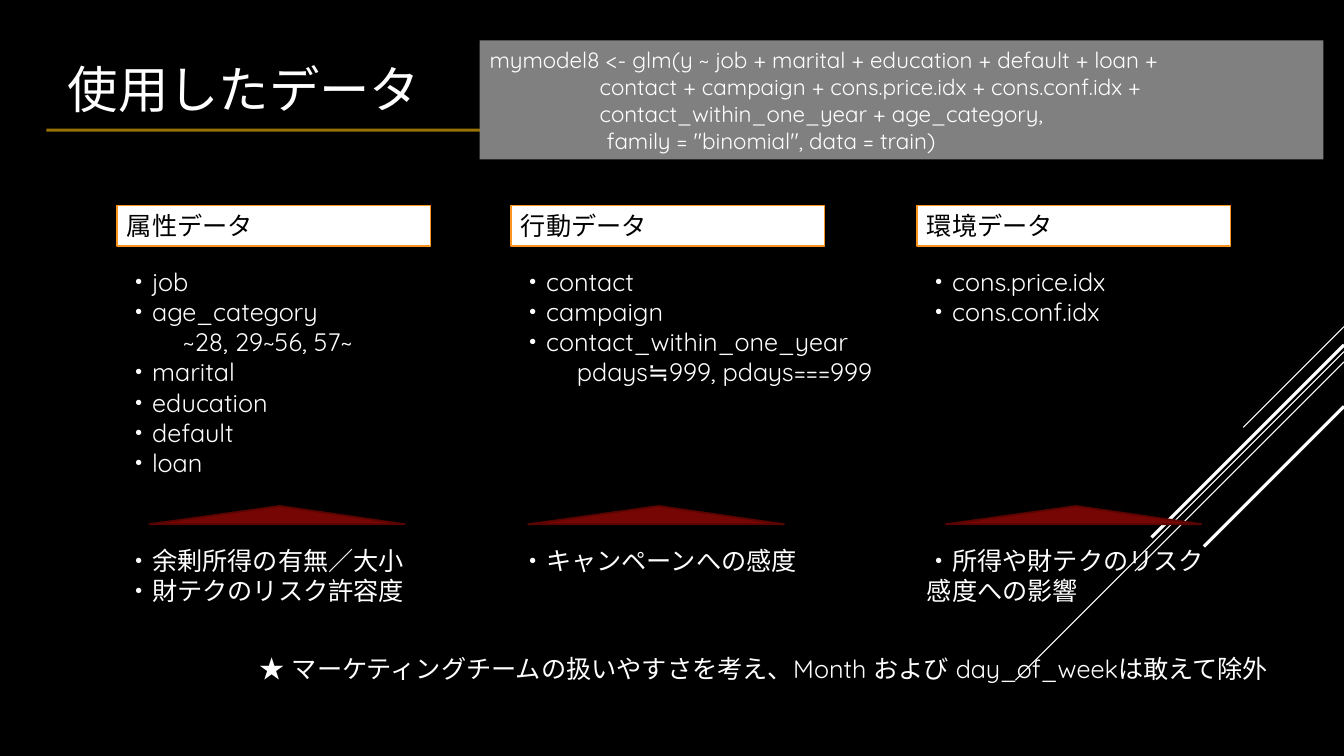
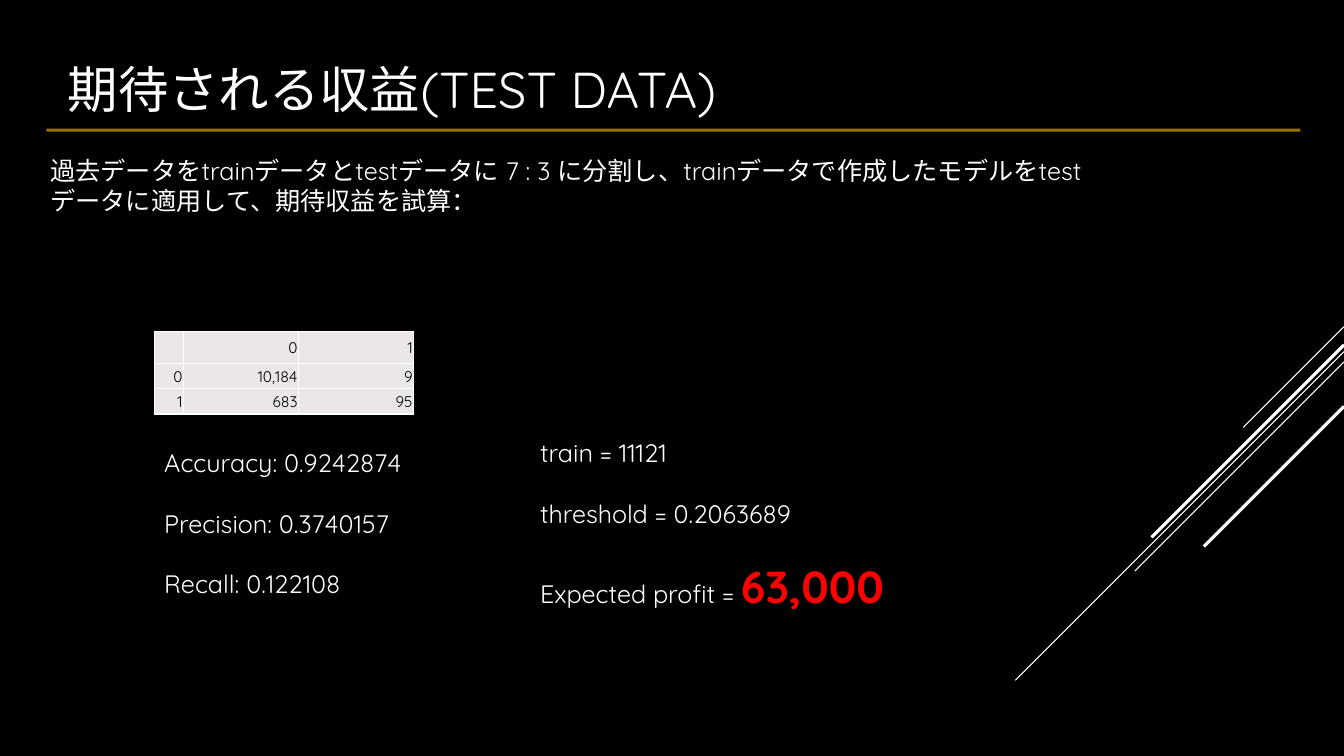
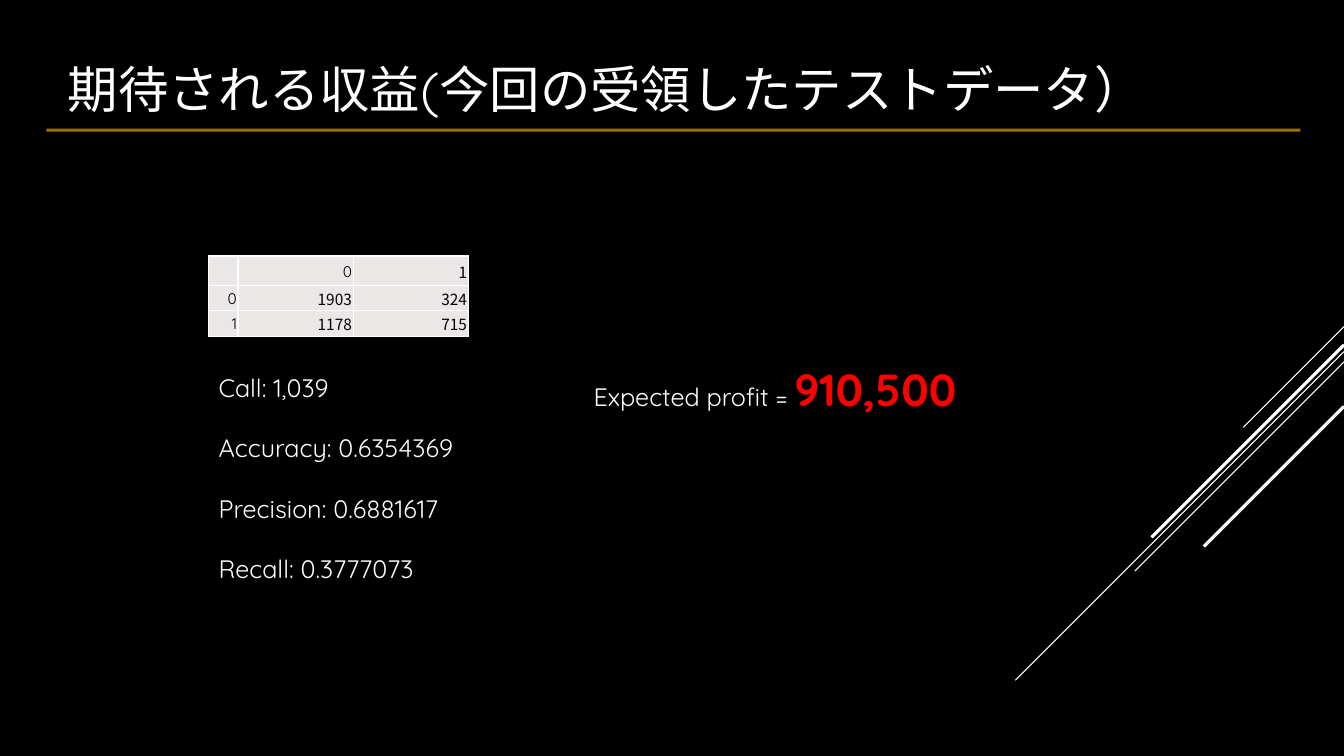
import lxml.etree
import pptx
import pptx.dml.color
import pptx.enum.shapes
import pptx.enum.text
import pptx.oxml
import pptx.oxml.ns
import pptx.util

Cm = pptx.util.Cm
Pt = pptx.util.Pt
qn = pptx.oxml.ns.qn
SHAPE = pptx.enum.shapes.MSO_SHAPE
ALIGN = pptx.enum.text.PP_ALIGN
ANCHOR = pptx.enum.text.MSO_ANCHOR

SLIDE_WIDTH, SLIDE_HEIGHT = 33.87, 19.05
BLACK, WHITE, GREY = "000000", "FFFFFF", "808080"
GOLD, ORANGE, RED = "FFC000", "FA941F", "FF0000"
MAROON, DARK_MAROON, PALE = "760603", "570402", "ECE7E7"
BODY_FONT, PLAIN_FONT = "Quicksand", "Noto Sans CJK JP"
BLANK_LINE = 21.6

# Diagonal stripes from the right edge: start height, extent, weight
STRIPES = [(8.23, 2.54, 0.75), (8.86, 8.28, 0.75), (9.12, 5.27, 0.75),
           (8.69, 4.85, 2.25), (10.24, 3.53, 2.25)]


def rgb(color):
    return pptx.dml.color.RGBColor.from_string(color)


def box(left, top, width, height):
    return Cm(left), Cm(top), Cm(width), Cm(height)


def write(frame, lines, size=18, color=WHITE, font=BODY_FONT, bold=None,
          align=ALIGN.LEFT, gap=0, indents=None):
    """Fill a frame; a line is a string or a list of (text, overrides).

    gap is the space in points before each later line, and indents maps
    a line number to its left indent in cm.
    """
    frame.word_wrap = True
    for number, line in enumerate(lines):
        paragraph = frame.add_paragraph() if number else frame.paragraphs[0]
        paragraph.alignment = align
        if number and gap:
            paragraph.space_before = Pt(gap)
        if indents and number in indents:
            properties = paragraph._p.get_or_add_pPr()
            properties.set("marL", str(Cm(indents[number])))
            properties.set("indent", "0")
        pieces = [(line, {})] if isinstance(line, str) else line
        for words, overrides in pieces:
            style = {"size": size, "color": color, "bold": bold, **overrides}
            run = paragraph.add_run()
            run.text = words
            run.font.size = Pt(style["size"])
            run.font.bold = style["bold"]
            run.font.name = font
            run.font.color.rgb = rgb(style["color"])
            lxml.etree.SubElement(run._r.get_or_add_rPr(), qn("a:ea"), typeface=font)


def add_solid_fill(parent, color):
    fill = lxml.etree.SubElement(parent, qn("a:solidFill"))
    lxml.etree.SubElement(fill, qn("a:srgbClr"), val=color)


class Deck:
    def __init__(self):
        self.presentation = pptx.Presentation()
        self.presentation.slide_width = Cm(SLIDE_WIDTH)
        self.presentation.slide_height = Cm(SLIDE_HEIGHT)
        self.layout = self.presentation.slide_layouts.get_by_name("Title Only")
        background = self.presentation.slide_master.background.fill
        background.solid()
        background.fore_color.rgb = rgb(BLACK)
        self.slide = None

    def new_slide(self, title):
        first = self.slide is None
        self.slide = self.presentation.slides.add_slide(self.layout)
        if first:
            self.decorate_layout()
        heading = self.slide.shapes.title
        heading.left, heading.top, heading.width, heading.height = box(1.45, 0.74, 30.86, 2.95)
        heading.text_frame.auto_size = pptx.enum.text.MSO_AUTO_SIZE.NONE
        heading.text_frame.vertical_anchor = ANCHOR.MIDDLE
        write(heading.text_frame, [title], size=36)

    def decorate_layout(self):
        """Draw the stripes and title rule, then move them to the layout."""
        decorations = [
            self.line(SLIDE_WIDTH, top, SLIDE_WIDTH - extent, top + extent, WHITE, weight)
            for top, extent, weight in STRIPES]
        decorations.append(self.line(1.17, 3.28, 32.77, 3.28, GOLD, 2.25, opacity=60))
        for decoration in decorations:
            self.layout.shapes._spTree.append(decoration._element)

    def line(self, x1, y1, x2, y2, color, weight, opacity=100):
        connector = self.slide.shapes.add_connector(
            pptx.enum.shapes.MSO_CONNECTOR.STRAIGHT, Cm(x1), Cm(y1), Cm(x2), Cm(y2))
        connector.line.width = Pt(weight)
        connector.line.color.rgb = rgb(color)
        properties = connector._element.spPr
        if opacity < 100:
            shade = properties.find(".//" + qn("a:srgbClr"))
            lxml.etree.SubElement(shade, qn("a:alpha"), val=str(opacity * 1000))
        lxml.etree.SubElement(properties, qn("a:effectLst"))
        return connector

    def text(self, left, top, width, height, lines, **style):
        area = self.slide.shapes.add_textbox(*box(left, top, width, height))
        write(area.text_frame, lines, **style)

    def shape(self, kind, left, top, width, height, fill, outline=None, lines=(), **style):
        figure = self.slide.shapes.add_shape(kind, *box(left, top, width, height))
        figure.shadow.inherit = False
        figure.fill.solid()
        figure.fill.fore_color.rgb = rgb(fill)
        if outline:
            figure.line.color.rgb = rgb(outline)
            figure.line.width = Pt(1.25)
        else:
            figure.line.fill.background()
        write(figure.text_frame, lines, **style)
        return figure

    def confusion_matrix(self, left, top, rows, plain_cells=()):
        """Add a table; plain_cells lists (row, column) set in the plain font."""
        widths, row_height = [0.74, 2.9, 2.9], 0.64
        table = self.slide.shapes.add_table(
            len(rows), len(widths),
            *box(left, top, sum(widths), row_height * len(rows))).table
        table.first_row = table.horz_banding = False
        for column, width in zip(table.columns, widths):
            column.width = Cm(width)
        for row_number, row in enumerate(rows):
            table.rows[row_number].height = Cm(row_height)
            for column_number, value in enumerate(row):
                cell = table.cell(row_number, column_number)
                cell.margin_left = cell.margin_right = cell.margin_top = Cm(0.03)
                cell.margin_bottom = 0
                cell.vertical_anchor = ANCHOR.MIDDLE
                plain = (row_number, column_number) in plain_cells
                write(cell.text_frame, [value], size=11, color=BLACK, align=ALIGN.RIGHT,
                      font=PLAIN_FONT if plain else BODY_FONT)
                properties = cell._tc.get_or_add_tcPr()
                for side in ("lnL", "lnR", "lnT", "lnB"):
                    border = lxml.etree.SubElement(properties, qn("a:" + side), w=str(Pt(1)))
                    add_solid_fill(border, WHITE)
                add_solid_fill(properties, PALE)

    def profit(self, amount):
        """Return the line that ends with the highlighted amount."""
        return [("Expected profit = ", {}),
                (amount, {"size": 32, "color": RED, "bold": True})]


def data_slide(deck):
    deck.new_slide("使用したデータ")
    categories = [
        (2.95, 3.76, "属性データ",
         ["・job", "・age_category", "~28, 29~56, 57~", "・marital", "・education",
          "・default", "・loan"], {2: 1.41},
         ["・余剰所得の有無／大小", "・財テクのリスク許容度"]),
        (12.88, 13.31, "行動データ",
         ["・contact", "・campaign", "・contact_within_one_year",
          "pdays≒999, pdays===999"], {3: 1.41},
         ["・キャンペーンへの感度"]),
        (23.11, 23.83, "環境データ",
         ["・cons.price.idx", "・cons.conf.idx"], None,
         ["・所得や財テクのリスク感度への影響"]),
    ]
    for left, arrow_left, name, variables, indents, meanings in categories:
        deck.shape(SHAPE.RECTANGLE, left, 5.18, 7.9, 1.02, WHITE, ORANGE, [name], color=BLACK)
        deck.text(left, 6.58, 10.2, 0.25 + 0.77 * len(variables), variables, indents=indents)
        arrow = deck.shape(SHAPE.ISOSCELES_TRIANGLE, arrow_left, 12.75, 6.45, 0.46,
                           MAROON, DARK_MAROON)
        arrow.adjustments[0] = 0.51
        deck.text(left, 13.61, 8.08, 1.8, meanings)
    deck.text(6.3, 16.33, 26.87, 1.02,
              ["★ マーケティングチームの扱いやすさを考え、Month および day_of_weekは敢えて除外"])
    deck.shape(SHAPE.RECTANGLE, 12.09, 1.02, 21.26, 3, GREY, lines=[
        "mymodel8 <- glm(y ~ job + marital + education + default + loan +",
        "contact + campaign + cons.price.idx + cons.conf.idx +",
        "contact_within_one_year + age_category,",
        "family = \"binomial\", data = train)",
    ], size=16, indents={1: 2.77, 2: 2.77, 3: 2.95})


def test_data_slide(deck):
    deck.new_slide("期待される収益(TEST DATA)")
    deck.text(1.02, 3.78, 27.51, 1.8, [
        "過去データをtrainデータとtestデータに 7 : 3 に分割し、"
        "trainデータで作成したモデルをtestデータに適用して、期待収益を試算："])
    deck.confusion_matrix(3.89, 8.36, [["", "0", "1"], ["0", "10,184", "9"], ["1", "683", "95"]])
    deck.text(3.89, 11.15, 8.08, 4.11,
              ["Accuracy: 0.9242874", "Precision: 0.3740157", "Recall: 0.122108"],
              gap=BLANK_LINE)
    deck.text(13.36, 10.9, 13.74, 4.88,
              ["train = 11121", "threshold = 0.2063689", deck.profit("63,000")],
              gap=BLANK_LINE)


def received_data_slide(deck):
    deck.new_slide("期待される収益(今回の受領したテストデータ）")
    deck.confusion_matrix(5.26, 6.45, [["", "0", "1"], ["0", "1903", "324"], ["1", "1178", "715"]],
                          plain_cells=[(0, 2), (1, 1), (1, 2), (2, 1), (2, 2)])
    deck.text(5.26, 9.25, 8.08, 5.64,
              ["Call: 1,039", "Accuracy: 0.6354369", "Precision: 0.6881617",
               "Recall: 0.3777073"], gap=BLANK_LINE)
    deck.text(14.71, 8.99, 13.74, 1.63, [deck.profit("910,500")])


def main():
    deck = Deck()
    data_slide(deck)
    test_data_slide(deck)
    received_data_slide(deck)
    deck.presentation.save("out.pptx")


if __name__ == "__main__":
    main()
